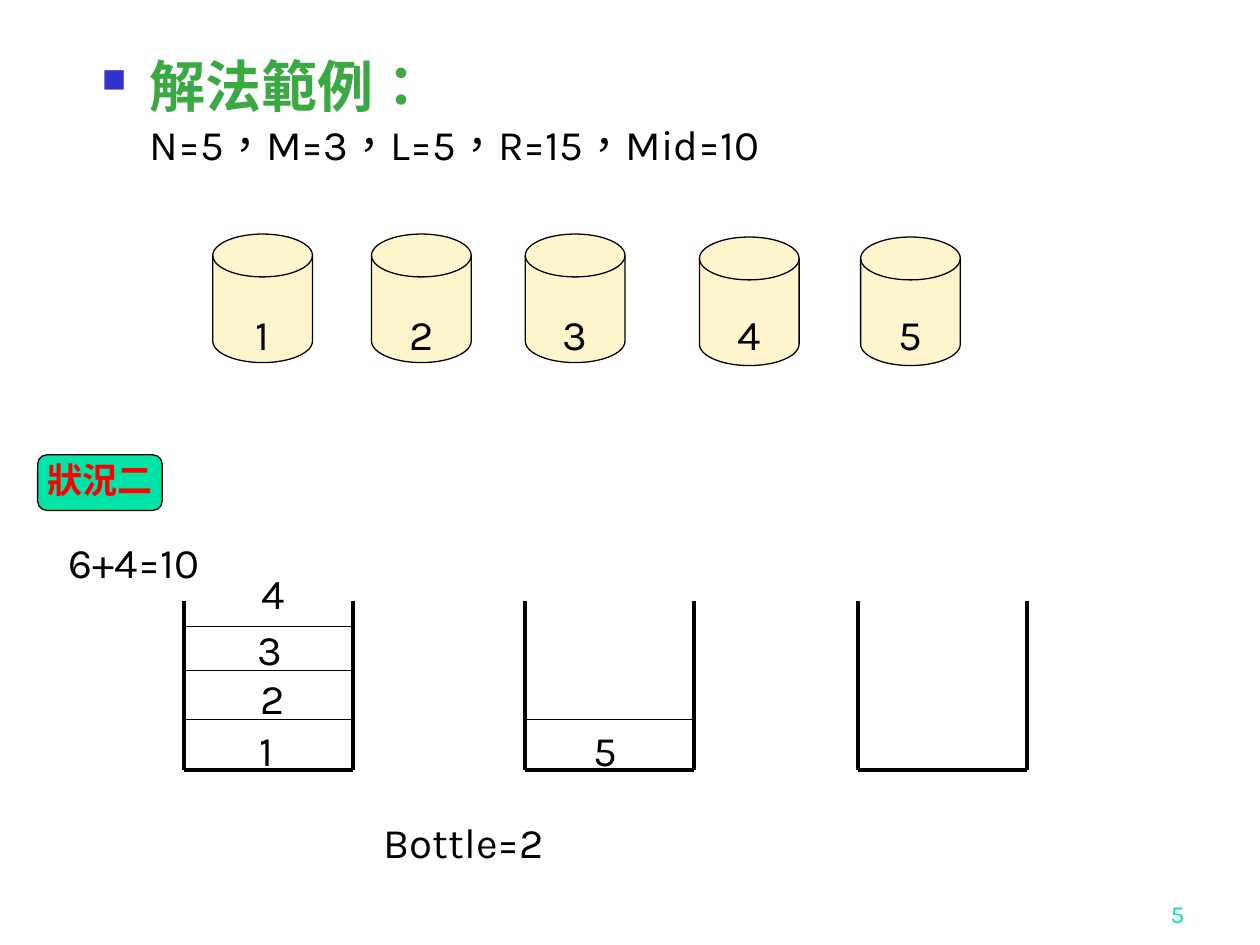
from dataclasses import dataclass

from lxml import etree
from pptx import Presentation
from pptx import util as u
from pptx.dml.color import RGBColor
from pptx.enum import lang, shapes, text
from pptx.oxml import ns


@dataclass(frozen=True)
class Theme:
    black: str = "000000"
    green: str = "3BA943"
    blue: str = "3333CC"
    mint: str = "00E4A8"
    cream: str = "FFF5CC"
    red: str = "FF0000"
    latin: str = "Karla"
    serif: str = "Times New Roman"
    chinese: str = "Noto Sans CJK SC"
    title: int = 32
    body: int = 24
    tag: int = 20
    footer: int = 14
    thin: float = 0.75
    thick: float = 2.25


THEME = Theme()
LABEL_HEIGHT = 1.27


def set_values(target, values):
    for name, value in values.items():
        setattr(target, name, value)


def style_run(run, size, color, face=THEME.latin, bold=False):
    set_values(run.font, {
        "size": u.Pt(size), "name": face, "bold": bold,
        "language_id": lang.MSO_LANGUAGE_ID.TRADITIONAL_CHINESE,
    })
    run.font.color.rgb = RGBColor.from_string(color)
    if face == THEME.chinese:
        properties = run.font._element
        etree.SubElement(properties, ns.qn("a:ea"), typeface=face)


def add_frame(slide, left, top, width, height, **values):
    box = slide.shapes.add_textbox(*map(u.Cm, (left, top, width, height)))
    set_values(box.text_frame, {"word_wrap": True, **values})
    return box.text_frame


def add_label(slide, box, words, size=THEME.body, color=THEME.black,
              face=THEME.latin, bold=False, align=text.PP_ALIGN.LEFT, **values):
    paragraph = add_frame(slide, *box, **values).paragraphs[0]
    paragraph.alignment = align
    run = paragraph.add_run()
    run.text = words
    style_run(run, size, color, face, bold)


def add_number(slide, center, top, number, width=1.19):
    add_label(slide, (center - width / 2, top, width, LABEL_HEIGHT), str(number),
              align=text.PP_ALIGN.CENTER)


def add_line(slide, start, end, width):
    line = slide.shapes.add_connector(
        shapes.MSO_CONNECTOR.STRAIGHT, *map(u.Cm, (*start, *end)))
    line.line.width = u.Pt(width)
    line.line.color.rgb = RGBColor.from_string(THEME.black)
    etree.SubElement(line._element.spPr, ns.qn("a:effectLst"))


def add_outlined(slide, kind, box, fill):
    shape = slide.shapes.add_shape(kind, *map(u.Cm, box))
    shape.shadow.inherit = False
    shape.fill.solid()
    shape.fill.fore_color.rgb = RGBColor.from_string(fill)
    shape.line.width = u.Pt(THEME.thin)
    shape.line.color.rgb = RGBColor.from_string(THEME.black)


def add_heading(slide, box):
    paragraph = add_frame(slide, *box).paragraphs[0]
    properties = paragraph._p.get_or_add_pPr()
    set_values_xml = {"marL": str(u.Cm(0.97)), "indent": str(-u.Cm(0.97))}
    for name, value in set_values_xml.items():
        properties.set(name, value)
    color = etree.SubElement(properties, ns.qn("a:buClr"))
    etree.SubElement(color, ns.qn("a:srgbClr"), val=THEME.blue)
    etree.SubElement(properties, ns.qn("a:buSzPct"), val="60000")
    etree.SubElement(properties, ns.qn("a:buChar"), char="■")
    title = paragraph.add_run()
    title.text = "解法範例："
    style_run(title, THEME.title, THEME.green, THEME.serif, True)
    paragraph.add_line_break()
    values = paragraph.add_run()
    values.text = "N=5，M=3，L=5，R=15，Mid=10"
    style_run(values, THEME.body, THEME.black)


def add_disks(slide, box, places):
    left, top, width, height = box
    for number, (across, down) in enumerate(places, 1):
        add_outlined(slide, shapes.MSO_SHAPE.FLOWCHART_MAGNETIC_DISK,
                     (left + across, top + down, width, height), THEME.cream)
        add_number(slide, left + across + width / 2, top + 1.37, number)


def add_bucket(slide, box, levels=(), labels=()):
    left, top, side = box
    right, bottom = left + side, top + side
    for x in (left, right):
        add_line(slide, (x, top), (x, bottom), THEME.thick)
    add_line(slide, (left, bottom), (right, bottom), THEME.thick)
    for level in levels:
        add_line(slide, (left, top + level), (right, top + level), THEME.thin)
    for number, across, down in labels:
        add_number(slide, left + across, top + down, number)


def add_case_tag(slide, box, words):
    left, top, width, height = box
    add_outlined(slide, shapes.MSO_SHAPE.ROUNDED_RECTANGLE, box, THEME.mint)
    add_label(slide, (left - 0.05, top - 0.05, width + 0.49, height), words,
              THEME.tag, THEME.red, THEME.chinese, True)


def main():
    presentation = Presentation()
    set_values(presentation, {"slide_width": u.Cm(25.4), "slide_height": u.Cm(19.05)})
    slide = presentation.slides.add_slide(presentation.slide_layouts[6])

    add_heading(slide, (1.8, 0.91, 21.62, 16.23))
    add_disks(slide, (4.29, 4.72, 2.01, 2.59),
              [(0, 0), (3.2, 0), (6.3, 0), (9.81, 0.06), (13.06, 0.06)])
    add_case_tag(slide, (0.76, 9.17, 2.51, 1.12), "狀況二")
    add_label(slide, (1.14, 10.69, 3.71, LABEL_HEIGHT), "6+4=10")

    buckets = [
        (3.71, (0.51, 1.4, 2.39),
         [(1, 1.66, 2.36), (2, 1.79, 1.32), (3, 1.74, 0.33), (4, 1.79, -0.81)]),
        (10.59, (2.39,), [(5, 1.61, 2.36)]),
        (17.3, (), ()),
    ]
    for left, levels, labels in buckets:
        add_bucket(slide, (left, 12.12, 3.4), levels, labels)

    add_label(slide, (7.49, 16.33, 5.79, LABEL_HEIGHT), "Bottle=2")
    add_label(slide, (18.85, 17.58, 5.28, LABEL_HEIGHT), "5", THEME.footer, THEME.mint,
              align=text.PP_ALIGN.RIGHT, vertical_anchor=text.MSO_ANCHOR.BOTTOM)
    presentation.save("out.pptx")


if __name__ == "__main__":
    main()
